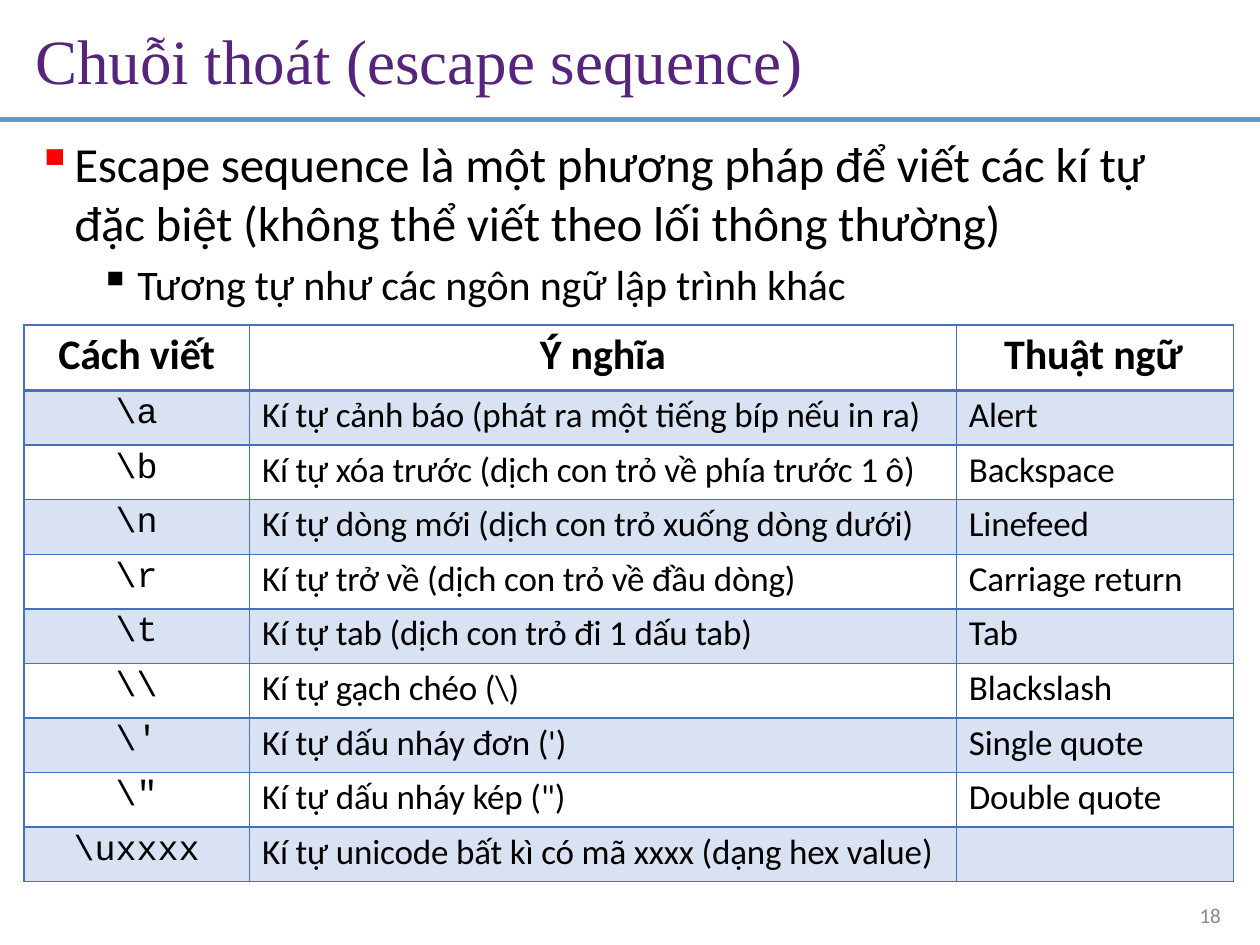
from lxml import etree
from pptx import Presentation
from pptx.dml.color import RGBColor
from pptx.enum.shapes import MSO_CONNECTOR
from pptx.enum.text import MSO_ANCHOR, MSO_AUTO_SIZE, PP_ALIGN
from pptx.oxml.ns import qn
from pptx.util import Inches, Pt

STRAIGHT = MSO_CONNECTOR.STRAIGHT
TOP = MSO_ANCHOR.TOP
NO_AUTOFIT = MSO_AUTO_SIZE.NONE
LEFT, CENTER = PP_ALIGN.LEFT, PP_ALIGN.CENTER

BORDER_COLOR = "4471C4"
BAND_COLORS = ("FFFFFF", "D9E2F3")
COLUMN_WIDTHS = (1.79, 5.61, 2.2)
TABLE_HEIGHT, HEADER_HEIGHT = 4.42, 0.52

TITLE = {"size": Pt(36), "name": "Times New Roman", "color": "56247C"}
BODY = {"size": Pt(28), "name": "Calibri", "color": "000000", "tracking": -10}
SUBPOINT = {**BODY, "size": Pt(24)}
HEADER = {**SUBPOINT, "bold": True}
CELL = {**BODY, "size": Pt(20)}
CODE = {**CELL, "name": "Courier New", "tracking": 0}
PAGE_NUMBER = {"size": Pt(12), "name": "Calibri", "color": "888888"}

HEADINGS = ("Cách viết", "Ý nghĩa", "Thuật ngữ")
ESCAPES = (
    (r"\a", "Kí tự cảnh báo (phát ra một tiếng bíp nếu in ra)", "Alert"),
    (r"\b", "Kí tự xóa trước (dịch con trỏ về phía trước 1 ô)", "Backspace"),
    (r"\n", "Kí tự dòng mới (dịch con trỏ xuống dòng dưới)", "Linefeed"),
    (r"\r", "Kí tự trở về (dịch con trỏ về đầu dòng)", "Carriage return"),
    (r"\t", "Kí tự tab (dịch con trỏ đi 1 dấu tab)", "Tab"),
    (r"\\", r"Kí tự gạch chéo (\)", "Blackslash"),
    (r"\'", "Kí tự dấu nháy đơn (')", "Single quote"),
    (r"\"", 'Kí tự dấu nháy kép (")', "Double quote"),
    (r"\uxxxx", "Kí tự unicode bất kì có mã xxxx (dạng hex value)", ""),
)


def rgb(color):
    """Turn a hex string into a colour."""
    return RGBColor.from_string(color)


def set_attributes(target, values):
    """Set each attribute of the target from a dict."""
    for name, value in values.items():
        setattr(target, name, value)


def write_paragraph(paragraph, text, style, **layout):
    """Write one formatted run and lay out its paragraph."""
    set_attributes(paragraph, layout)
    if not text:
        return
    run = paragraph.add_run()
    run.text = text
    font = dict(style)
    run.font.color.rgb = rgb(font.pop("color"))
    tracking = font.pop("tracking", 0)
    set_attributes(run.font, font)
    run.font._element.set("spc", str(tracking))


def set_indent(paragraph, left, first=0):
    """Set the left margin and first-line indent in inches."""
    properties = paragraph._p.get_or_add_pPr()
    properties.set("marL", str(Inches(left)))
    properties.set("indent", str(Inches(first)))


def add_bullet(paragraph, color):
    """Give the paragraph a coloured square bullet."""
    properties = paragraph._p.get_or_add_pPr()
    bullet_color = etree.SubElement(properties, qn("a:buClr"))
    etree.SubElement(bullet_color, qn("a:srgbClr"), val=color)
    etree.SubElement(properties, qn("a:buChar"), char="▪")


def prepare_frame(shape):
    """Remove the insets of a shape and return its text frame."""
    frame = shape.text_frame
    set_attributes(frame, {
        "margin_left": 0, "margin_right": 0, "margin_bottom": 0,
        "margin_top": Inches(0.01), "word_wrap": True,
        "auto_size": NO_AUTOFIT, "vertical_anchor": TOP,
    })
    return frame


def add_title(slide):
    """Place and write the slide title."""
    title = slide.shapes.title
    set_attributes(title, {
        "left": Inches(0.28), "top": Inches(0.16),
        "width": Inches(6.12), "height": Inches(0.63),
    })
    write_paragraph(prepare_frame(title).paragraphs[0],
                    "Chuỗi thoát (escape sequence)", TITLE,
                    alignment=LEFT, space_before=Pt(1))


def add_text_box(slide, left, top, width, height):
    """Add a text box without insets and return its frame."""
    return prepare_frame(slide.shapes.add_textbox(
        Inches(left), Inches(top), Inches(width), Inches(height)))


def add_rule(slide):
    """Draw the full-width line below the title."""
    rule = slide.shapes.add_connector(
        STRAIGHT, 0, Inches(0.95), Inches(10), Inches(0.95))
    rule.line.color.rgb = rgb("5B9BD4")
    rule.line.width = Pt(3)
    etree.SubElement(rule._element.spPr, qn("a:effectLst"))


def add_points(slide):
    """Write the bulleted explanation."""
    frame = add_text_box(slide, 0.28, 1.05, 8.92, 1.42)
    point, subpoint = frame.paragraphs[0], frame.add_paragraph()
    write_paragraph(point, "Escape sequence là một phương pháp để viết các kí tự "
                    "đặc biệt (không thể viết theo lối thông thường)",
                    BODY, space_before=Pt(0.9))
    write_paragraph(subpoint, "Tương tự như các ngôn ngữ lập trình khác",
                    SUBPOINT, space_before=Pt(4.3), level=1)
    for paragraph, left, color in ((point, 0.31, "FF0000"), (subpoint, 0.81, "000000")):
        set_indent(paragraph, left, -0.3)
        add_bullet(paragraph, color)


def add_border(cell, side, width):
    """Draw one border of a table cell."""
    line = etree.SubElement(cell._tc.get_or_add_tcPr(), qn(f"a:{side}"), w=str(Pt(width)))
    fill = etree.SubElement(line, qn("a:solidFill"))
    etree.SubElement(fill, qn("a:srgbClr"), val=BORDER_COLOR)


def format_cell(cell, row):
    """Set the insets, borders and band colour of a cell."""
    set_attributes(cell, {
        "margin_left": 0, "margin_right": 0, "margin_bottom": 0,
        "margin_top": Inches(0.03 if row else 0.04), "vertical_anchor": TOP,
    })
    widths = {"lnL": 1, "lnR": 1, "lnT": 2.25 if row == 1 else 1,
              "lnB": 1 if row else 2.25}
    for side, width in widths.items():
        add_border(cell, side, width)
    cell.fill.solid()
    cell.fill.fore_color.rgb = rgb(BAND_COLORS[row % 2])


def write_cell(cell, row, column, text):
    """Write a heading, code or description into a cell."""
    paragraph = cell.text_frame.paragraphs[0]
    if row == 0:
        style, space, indent = HEADER, 2.9, 0.38
        centered = column < 2
    else:
        style, space, indent = (CELL if column else CODE), 2.4, 0.1
        centered = column == 0
    write_paragraph(paragraph, text, style, space_before=Pt(space),
                    alignment=CENTER if centered else LEFT)
    if not centered:
        set_indent(paragraph, indent)


def add_escape_table(slide):
    """Build the table of escape sequences."""
    rows = (HEADINGS, *ESCAPES)
    table = slide.shapes.add_table(
        len(rows), len(HEADINGS), Inches(0.19), Inches(2.58),
        Inches(sum(COLUMN_WIDTHS)), Inches(TABLE_HEIGHT)).table
    set_attributes(table, {"first_row": False, "horz_banding": False})
    for column, width in zip(table.columns, COLUMN_WIDTHS):
        column.width = Inches(width)
    body_height = (TABLE_HEIGHT - HEADER_HEIGHT) / len(ESCAPES)
    for row, texts in enumerate(rows):
        table.rows[row].height = Inches(body_height if row else HEADER_HEIGHT)
        for column, text in enumerate(texts):
            cell = table.cell(row, column)
            format_cell(cell, row)
            write_cell(cell, row, column, text)


def add_page_number(slide):
    """Write the page number in the lower right corner."""
    paragraph = add_text_box(slide, 9.48, 7.18, 0.25, 0.19).paragraphs[0]
    write_paragraph(paragraph, "18", PAGE_NUMBER, line_spacing=Pt(12.4))
    set_indent(paragraph, 0.04)


def main():
    """Build the slide and save the presentation."""
    presentation = Presentation()
    presentation.slide_width, presentation.slide_height = Inches(10), Inches(7.5)
    slide = presentation.slides.add_slide(presentation.slide_layouts[5])
    add_rule(slide)
    add_title(slide)
    add_page_number(slide)
    add_points(slide)
    add_escape_table(slide)
    presentation.save("out.pptx")


if __name__ == "__main__":
    main()
